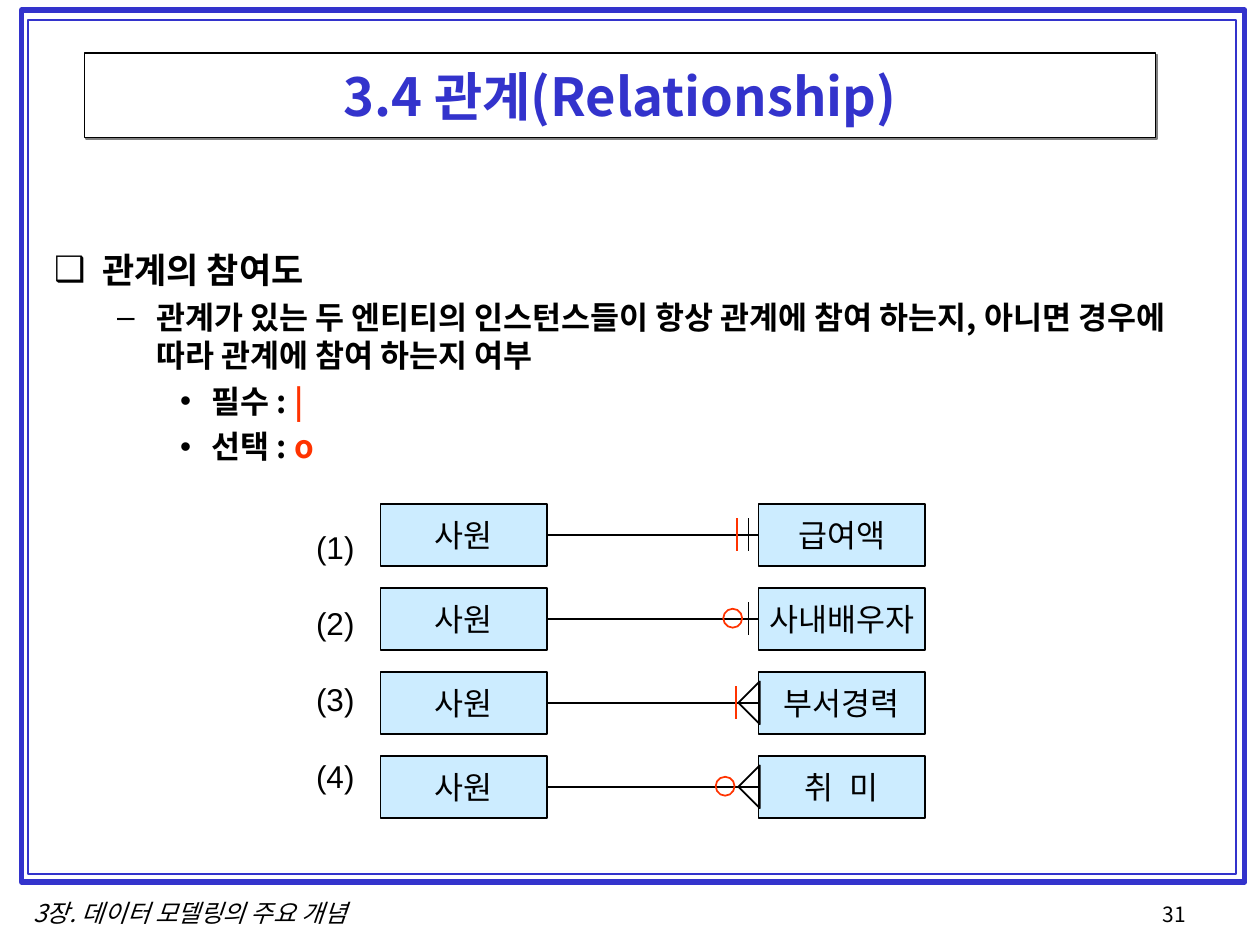
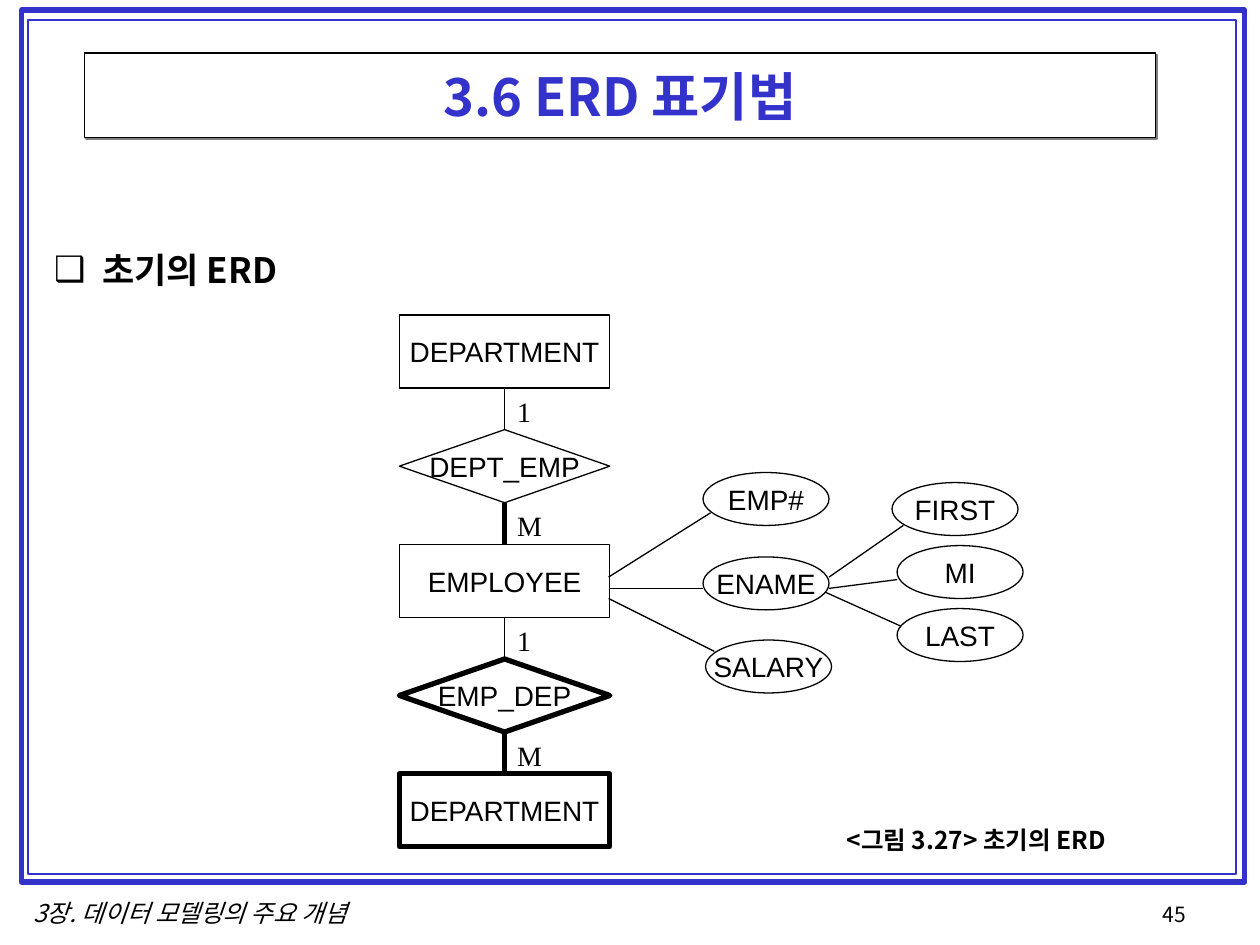
"""Build two slides on relationship participation and early ERD notation."""
from lxml.etree import SubElement
from pptx import Presentation
from pptx.dml.color import RGBColor
from pptx.enum.shapes import MSO_CONNECTOR, MSO_SHAPE as Shape
from pptx.enum.text import MSO_ANCHOR as Anchor, MSO_AUTO_SIZE as AutoSize, PP_ALIGN as Align
from pptx.oxml.ns import qn
from pptx.util import Inches, Pt

COLORS = {"blue": "3333CC", "black": "000000", "white": "FFFFFF",
          "red": "FF3300", "sky": "CCECFF", "gray": "808080"}
KOREAN, LATIN, SERIF = "Noto Sans CJK KR", "Arial", "Times New Roman"
FOOTER = "3장. 데이터 모델링의 주요 개념"
FRAMES = [((0.17, 0.08, 9.71, 6.92), 3), ((0.22, 0.16, 9.59, 6.78), 1)]
TITLE_AREA, BODY_AREA = (0.67, 0.42, 8.5, 0.67), (0.33, 1.92, 9.33, 4.83)

LEVELS = [("❑", 0.38, 0.38, 20, 5), ("–", 0.81, 0.31, 18, 4.5), ("•", 1.25, 0.25, 18, 4.5)]

PARTICIPATION = [
    (0, [("관계의 참여도", "black")]),
    (1, [("관계가 있는 두 엔티티의 인스턴스들이 항상 관계에 참여 하는지, "
          "아니면 경우에 따라 관계에 참여 하는지 여부", "black")]),
    (2, [("필수 : ", "black"), ("|", "red")]),
    (2, [("선택 : ", "black"), ("o", "red")]),
]
RELATIONS = [
    ("급여액", 0, [("bar", 5.85, "red"), ("bar", 5.94, "black")]),
    ("사내배우자", 0, [("circle", 5.74, "red"), ("bar", 5.94, "black")]),
    ("부서경력", 0, [("bar", 5.84, "red"), ("crow", 5.91, "black")]),
    ("취 미", 250, [("crow", 5.91, "black"), ("circle", 5.68, "red")]),
]
ENTITY_COLUMNS, ENTITY_SIZE = (3.02, 6.02), (1.32, 0.49)
FIRST_ROW, ROW_PITCH = 4.0, 2 / 3

ERD = [(0, [("초기의 ERD", "black")])]
CHAIN = [
    ("DEPARTMENT", Shape.RECTANGLE, 0.75),
    ("DEPT_EMP", Shape.FLOWCHART_DECISION, 0.75),
    ("EMPLOYEE", Shape.RECTANGLE, 0.75),
    ("EMP_DEP", Shape.FLOWCHART_DECISION, 3),
    ("DEPARTMENT", Shape.RECTANGLE, 3),
]
CHAIN_LINKS = [("1", 0.31, 0.75), ("M", 0.39, 3)] * 2
CHAIN_LEFT, CHAIN_TOP, CHAIN_PITCH, NODE_SIZE = 3.17, 2.5, 0.91, (1.67, 0.58)
ATTRIBUTES = [
    ("EMP#", (5.58, 3.75), (4.83, 4.58), (5.64, 4.07)),
    ("ENAME", (5.58, 4.42), (4.83, 4.67), (5.58, 4.67)),
    ("SALARY", (5.6, 5.08), (4.83, 4.75), (5.67, 5.17)),
    ("FIRST", (7.08, 3.83), (6.58, 4.58), (7.17, 4.17)),
    ("MI", (7.12, 4.33), (6.58, 4.67), (7.12, 4.6)),
    ("LAST", (7.12, 4.83), (6.55, 4.7), (7.15, 4.97)),
]
ATTRIBUTE_SIZE = (1, 0.42)
CAPTION = "<그림 3.27> 초기의 ERD"


def rgb(name):
    return RGBColor.from_string(COLORS[name])


def add_span(para, text, size, font=LATIN, color="black", bold=False, italic=False, spacing=0):
    span = para.add_run()
    span.text = text
    span.font.size, span.font.name = Pt(size), font
    span.font.bold, span.font.italic = bold, italic
    span.font.color.rgb = rgb(color)
    properties = span._r.get_or_add_rPr()
    SubElement(properties, qn("a:ea")).set("typeface", KOREAN)
    if spacing:
        properties.set("spc", str(spacing))


def paint(shape, fill, line, width):
    if fill:
        shape.fill.solid()
        shape.fill.fore_color.rgb = rgb(fill)
    else:
        shape.fill.background()
    shape.line.color.rgb = rgb(line)
    shape.line.width = Pt(width)
    shape.shadow.inherit = False


def add_box(page, kind, area, fill=None, line="black", width=1.0):
    box = page.shapes.add_shape(kind, *map(Inches, area))
    paint(box, fill, line, width)
    return box


def add_node(page, kind, area, text, size, fill="white", width=0.75, spacing=0):
    frame = add_box(page, kind, area, fill, width=width).text_frame
    frame.word_wrap, frame.vertical_anchor = False, Anchor.MIDDLE
    para = frame.paragraphs[0]
    para.alignment = Align.CENTER
    add_span(para, text, size, spacing=spacing)


def add_line(page, start, end, color="black", width=0.75):
    line = page.shapes.add_connector(MSO_CONNECTOR.STRAIGHT, *map(Inches, start + end))
    line.line.color.rgb = rgb(color)
    line.line.width = Pt(width)
    SubElement(line.element.spPr, qn("a:effectLst"))


def add_label(page, area, lines, size, gap=0, align=Align.LEFT, **style):
    frame = page.shapes.add_textbox(*map(Inches, area)).text_frame
    frame.word_wrap = False
    for index, text in enumerate(lines):
        para = frame.add_paragraph() if index else frame.paragraphs[0]
        para.alignment = align
        if index:
            para.space_before = Pt(gap)
        add_span(para, text, size, **style)


def place(holder, area):
    holder.left, holder.top, holder.width, holder.height = map(Inches, area)
    holder.text_frame.auto_size = AutoSize.NONE


def fill_title(title, text):
    place(title, TITLE_AREA)
    paint(title, "white", "black", 0.75)
    effects = title.element.spPr.find(qn("a:effectLst"))
    shadow = SubElement(effects, qn("a:outerShdw"), dist=str(Pt(1.4)), dir="2700000")
    SubElement(shadow, qn("a:srgbClr")).set("val", COLORS["gray"])
    title.text_frame.vertical_anchor = Anchor.MIDDLE
    para = title.text_frame.paragraphs[0]
    para.alignment = Align.CENTER
    add_span(para, text, 30, KOREAN, "blue", bold=True)


def fill_body(body, items):
    place(body, BODY_AREA)
    for index, (level, spans) in enumerate(items):
        bullet, indent, hanging, size, before = LEVELS[level]
        para = body.text_frame.add_paragraph() if index else body.text_frame.paragraphs[0]
        para.level = level
        para.space_before = Pt(before if index else 0)
        properties = para._p.get_or_add_pPr()
        properties.set("marL", str(Inches(indent)))
        properties.set("indent", str(-Inches(hanging)))
        bullet_color = SubElement(properties, qn("a:buClr"))
        SubElement(bullet_color, qn("a:srgbClr")).set("val", COLORS["black"])
        SubElement(properties, qn("a:buChar")).set("char", bullet)
        for text, color in spans:
            add_span(para, text, size, KOREAN, color, bold=True)


def add_page(deck, title, items, number):
    page = deck.slides.add_slide(deck.slide_layouts[1])
    fill_title(page.shapes.title, title)
    fill_body(page.placeholders[1], items)
    for area, width in FRAMES:
        add_box(page, Shape.RECTANGLE, area, line="blue", width=width)
    add_label(page, (0.08, 7.08, 2.86, 0.34), [FOOTER], 14, align=Align.CENTER,
              font=KOREAN, italic=True)
    add_label(page, (9.13, 7.11, 1.02, 0.33), [number], 12, font=KOREAN)
    return page


def add_mark(page, kind, left, middle, color):
    if kind == "bar":
        add_line(page, (left, middle - 0.13), (left, middle + 0.13), color, 1)
    elif kind == "circle":
        add_box(page, Shape.OVAL, (left, middle - 0.08, 0.15, 0.15), line=color)
    else:
        crow = add_box(page, Shape.RIGHT_TRIANGLE, (left, middle - 0.12, 0.24, 0.24), line=color)
        crow.rotation = 45


def draw_relations(page):
    width, height = ENTITY_SIZE
    left, right = ENTITY_COLUMNS
    for row, (entity, spacing, marks) in enumerate(RELATIONS):
        top = FIRST_ROW + row * ROW_PITCH
        middle = top + height / 2
        add_node(page, Shape.RECTANGLE, (left, top, width, height), "사원", 18, "sky", 1)
        add_node(page, Shape.RECTANGLE, (right, top, width, height), entity, 18, "sky", 1, spacing)
        add_line(page, (left + width, middle), (right, middle), width=1)
        for kind, mark_left, color in marks:
            add_mark(page, kind, mark_left, middle, color)
    numbers = [f"({row})" for row in range(1, len(RELATIONS) + 1)]
    add_label(page, (2.41, 4.14, 0.51, 2.5), numbers, 18, gap=22)


def draw_erd(page):
    width, height = NODE_SIZE
    center = CHAIN_LEFT + width / 2
    tops = [CHAIN_TOP + row * CHAIN_PITCH for row in range(len(CHAIN))]
    for top, (name, kind, line_width) in zip(tops, CHAIN):
        add_node(page, kind, (CHAIN_LEFT, top, width, height), name, 16, width=line_width)
    for top, below, (count, label_width, line_width) in zip(tops, tops[1:], CHAIN_LINKS):
        add_line(page, (center, top + height), (center, below), width=line_width)
        add_label(page, (center, top + height, label_width, 0.37), [count], 16, font=SERIF)
    for name, corner, start, end in ATTRIBUTES:
        add_node(page, Shape.OVAL, corner + ATTRIBUTE_SIZE, name, 16)
        add_line(page, start, end)
    add_label(page, (6.62, 6.5, 2.49, 0.34), [CAPTION], 14, font=KOREAN, bold=True)


def main():
    deck = Presentation()
    deck.slide_width, deck.slide_height = Inches(10), Inches(7.5)
    draw_relations(add_page(deck, "3.4 관계(Relationship)", PARTICIPATION, "31"))
    draw_erd(add_page(deck, "3.6 ERD 표기법", ERD, "45"))
    deck.save("out.pptx")


if __name__ == "__main__":
    main()
